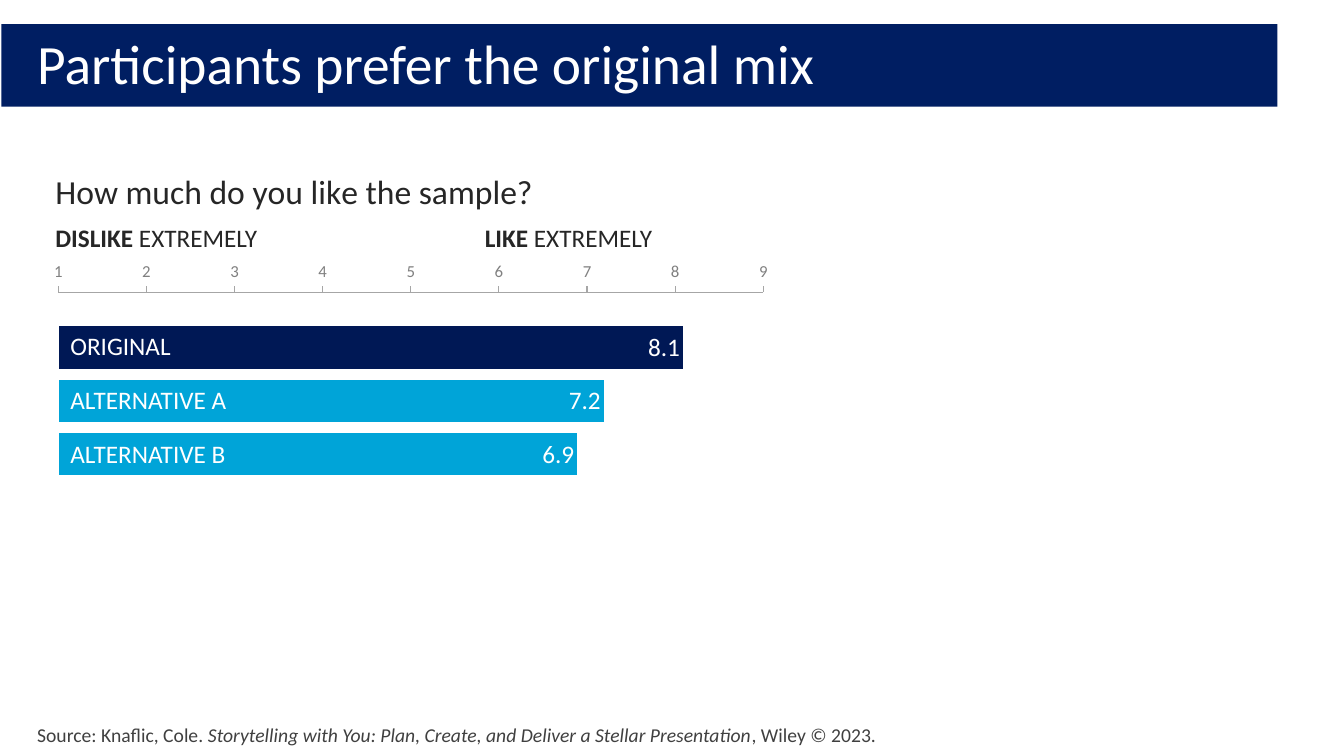
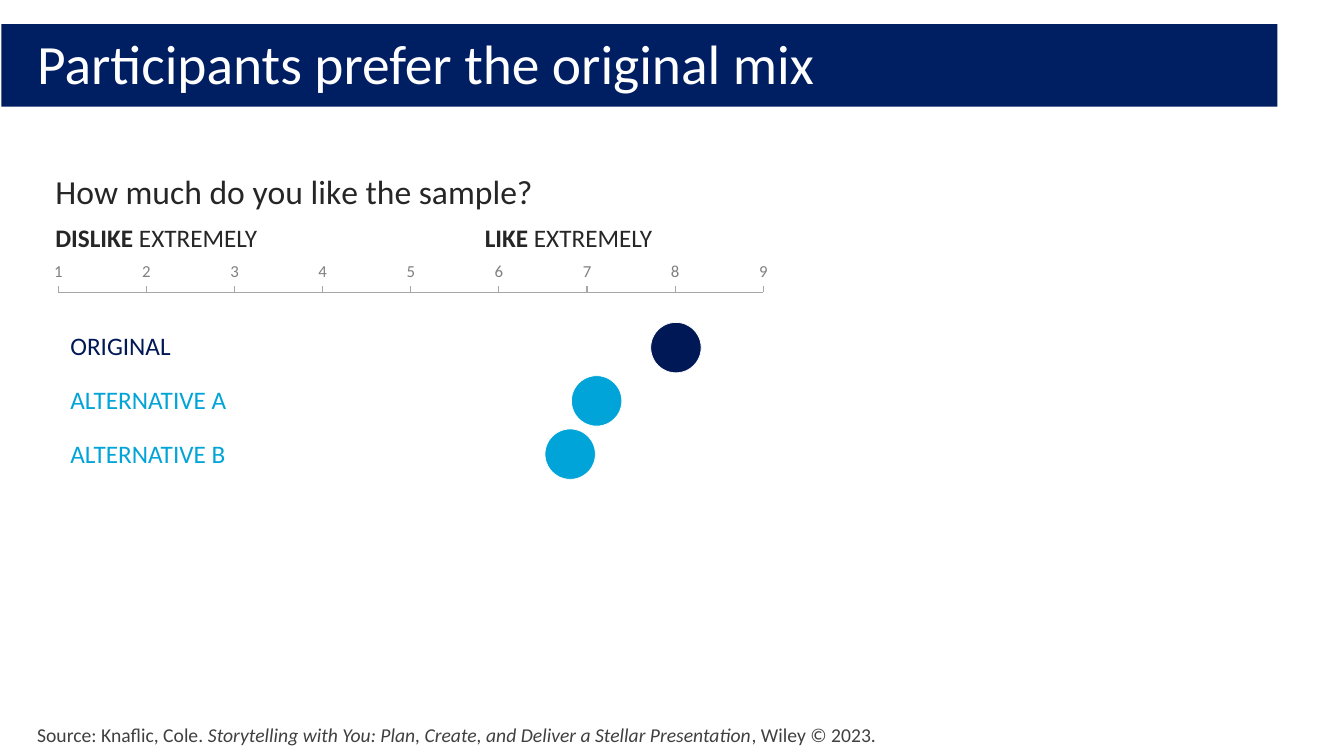
from dataclasses import dataclass

from pptx import Presentation
from pptx import util as u
from pptx.chart.data import CategoryChartData
from pptx.dml.color import RGBColor
from pptx.enum import chart as charts, shapes, text
from pptx.oxml import parse_xml
from pptx.oxml.ns import nsdecls, qn


@dataclass(frozen=True)
class Theme:
    font: str = "Calibri"
    band: str = "001E62"
    navy: str = "001855"
    cyan: str = "00A4D8"
    white: str = "FFFFFF"
    ink: str = "262626"
    source: str = "404040"
    axis_text: str = "808080"
    axis_line: str = "A6A6A6"
    title_size: float = 39.6
    question_size: float = 24
    body_size: float = 18
    source_size: float = 14
    axis_size: float = 12


THEME = Theme()
WIDTH, HEIGHT = 13.33, 7.5

TITLE = "Participants prefer the original mix"
SOURCE = [
    ("Source: Knaflic, Cole. ", ""),
    ("Storytelling with You: Plan, Create, and Deliver a Stellar Presentation", "i"),
    (", Wiley © 2023.", ""),
]
QUESTION = "How much do you like the sample?"
SCALE_ENDS = [("DISLIKE", "b"), (" EXTREMELY\t", ""), ("LIKE", "b"), (" EXTREMELY", "")]
SAMPLES = [
    ("ORIGINAL", 8.1, THEME.navy),
    ("ALTERNATIVE A", 7.2, THEME.cyan),
    ("ALTERNATIVE B", 6.9, THEME.cyan),
]
STYLES = ["bars", "dots"]

BOXES = {
    "band": (0.1, 3.2, 94.95, 10.9),
    "title": (2.03, 4.4, 92.05, 8.8),
    "source": (2.03, 94.93, 96.32, 4.53),
    "chart": (2.55, 20.4, 56.04, 48.13),
    "scale": (3.38, 28.8, 56.04, 5.33),
    "labels": (4.5, 43.07, 20.03, 20),
}
PLOT = {"x": 3.2, "y": 37.9, "w": 93.6, "h": 59.8}
QUESTION_SPOT = {"x": 2, "y": 2.3}
SCALE_MIN, SCALE_MAX = 1, 9
GAP, OVERLAP = 150, -20
LIKE_TAB = 4.26
LABEL_GAP = 17
DOT_SIZE, DOT_SHIFT = 0.5, -0.08


def inches(name):
    left, top, width, height = BOXES[name]
    return (left * WIDTH / 100, top * HEIGHT / 100, width * WIDTH / 100, height * HEIGHT / 100)


def place(name):
    return [u.Inches(length) for length in inches(name)]


def color(value):
    return RGBColor.from_string(value)


def set_font(font, size, fill):
    font.name, font.size = THEME.font, u.Pt(size)
    font.color.rgb = color(fill)


def add_text(slide, name, paragraphs, *, size, colors, anchor=text.MSO_ANCHOR.TOP,
             spacing=None, gap=0, tab=None):
    frame = slide.shapes.add_textbox(*place(name)).text_frame
    frame.word_wrap = True
    frame.vertical_anchor = anchor
    for index, (runs, fill) in enumerate(zip(paragraphs, colors)):
        paragraph = frame.add_paragraph() if index else frame.paragraphs[0]
        if tab:
            paragraph._p.get_or_add_pPr().append(parse_xml(
                f'<a:tabLst {nsdecls("a")}><a:tab pos="{u.Inches(tab)}" algn="l"/></a:tabLst>'))
        paragraph.line_spacing = spacing
        if index:
            paragraph.space_before = u.Pt(gap)
        for words, marks in runs:
            run = paragraph.add_run()
            run.text = words
            run.font.bold, run.font.italic = "b" in marks, "i" in marks
            set_font(run.font, size, fill)


def add_filled(slide, kind, box, fill, line=None):
    shape = slide.shapes.add_shape(kind, *box)
    shape.shadow.inherit = False
    shape.fill.solid()
    shape.fill.fore_color.rgb = color(fill)
    if line:
        shape.line.color.rgb = color(line)
        shape.line.width = u.Pt(0.5)
    else:
        shape.line.fill.background()


def set_layout(parent, index, shares, inner=False):
    for old in parent.findall(qn("c:layout")):
        parent.remove(old)
    target = '<c:layoutTarget val="inner"/>' if inner else ""
    modes = "".join(f'<c:{key}Mode val="edge"/>' for key in shares if key in "xy")
    values = "".join(f'<c:{key} val="{share / 100}"/>' for key, share in shares.items())
    parent.insert(index, parse_xml(
        f'<c:layout {nsdecls("c")}><c:manualLayout>{target}{modes}{values}'
        '</c:manualLayout></c:layout>'))


def add_rating_chart(slide, filled):
    data = CategoryChartData(number_format="0.0")
    data.categories = ["1"]
    for label, rating, _ in SAMPLES:
        data.add_series(label, [rating])
    chart = slide.shapes.add_chart(
        charts.XL_CHART_TYPE.BAR_CLUSTERED, *place("chart"), data).chart
    chart.has_legend = False
    set_font(chart.font, THEME.axis_size, THEME.axis_text)

    chart.has_title = True
    paragraph = chart.chart_title.text_frame.paragraphs[0]
    run = paragraph.add_run()
    run.text = QUESTION
    run.font.bold = False
    set_font(run.font, THEME.question_size, THEME.ink)
    set_layout(chart.chart_title._element, 1, QUESTION_SPOT)
    set_layout(chart._chartSpace.chart.plotArea, 0, PLOT, inner=True)

    chart.category_axis.visible = False
    chart.category_axis.reverse_order = True
    axis = chart.value_axis
    axis.minimum_scale, axis.maximum_scale, axis.major_unit = SCALE_MIN, SCALE_MAX, 1
    axis.has_major_gridlines = False
    axis.major_tick_mark = charts.XL_TICK_MARK.OUTSIDE
    axis.tick_labels.number_format = "0"
    axis.tick_labels.number_format_is_linked = False
    set_font(axis.tick_labels.font, THEME.axis_size, THEME.axis_text)
    axis.format.line.color.rgb = color(THEME.axis_line)
    axis.format.line.width = u.Pt(0.75)

    plot = chart.plots[0]
    plot.vary_by_categories = False
    plot.gap_width, plot.overlap = GAP, OVERLAP
    for series, (_, _, fill) in zip(plot.series, SAMPLES):
        if not filled:
            series.format.fill.background()
            series.format.line.fill.background()
            continue
        series.format.fill.solid()
        series.format.fill.fore_color.rgb = color(fill)
        series.format.line.color.rgb = color(THEME.white)
        series.format.line.width = u.Pt(1.5)
        labels = series.data_labels
        labels.show_value = True
        labels.position = charts.XL_LABEL_POSITION.INSIDE_END
        labels.number_format, labels.number_format_is_linked = "0.0", False
        set_font(labels.font, THEME.body_size, THEME.white)


def add_dots(slide):
    left, top, width, height = inches("chart")
    plot_left, plot_top = left + width * PLOT["x"] / 100, top + height * PLOT["y"] / 100
    unit = width * PLOT["w"] / 100 / (SCALE_MAX - SCALE_MIN)
    space = -OVERLAP / 100
    count = len(SAMPLES)
    bar = height * PLOT["h"] / 100 / (count + (count - 1) * space + GAP / 100)
    for index, (_, rating, fill) in enumerate(SAMPLES):
        center_x = plot_left + (rating - SCALE_MIN) * unit + DOT_SHIFT
        center_y = plot_top + bar * (GAP / 200 + 0.5 + index * (1 + space))
        box = (center_x - DOT_SIZE / 2, center_y - DOT_SIZE / 2, DOT_SIZE, DOT_SIZE)
        add_filled(slide, shapes.MSO_SHAPE.OVAL, [u.Inches(length) for length in box],
                   fill, THEME.white)


def add_frame(slide):
    add_filled(slide, shapes.MSO_SHAPE.RECTANGLE, place("band"), THEME.band)
    add_text(slide, "source", [SOURCE], size=THEME.source_size, colors=[THEME.source])
    add_text(slide, "title", [[(TITLE, "")]], size=THEME.title_size, colors=[THEME.white],
             anchor=text.MSO_ANCHOR.MIDDLE, spacing=0.9)


def add_rating_slide(presentation, style):
    slide = presentation.slides.add_slide(presentation.slide_layouts[6])
    filled = style == "bars"
    add_frame(slide)
    add_rating_chart(slide, filled)
    add_text(slide, "scale", [SCALE_ENDS], size=THEME.body_size, colors=[THEME.ink],
             tab=LIKE_TAB)
    add_text(slide, "labels", [[(label, "")] for label, _, _ in SAMPLES],
             size=THEME.body_size, gap=LABEL_GAP,
             colors=[THEME.white if filled else fill for _, _, fill in SAMPLES])
    if not filled:
        add_dots(slide)


def main():
    presentation = Presentation()
    presentation.slide_width = u.Inches(WIDTH)
    presentation.slide_height = u.Inches(HEIGHT)
    for style in STYLES:
        add_rating_slide(presentation, style)
    presentation.save("out.pptx")


if __name__ == "__main__":
    main()
